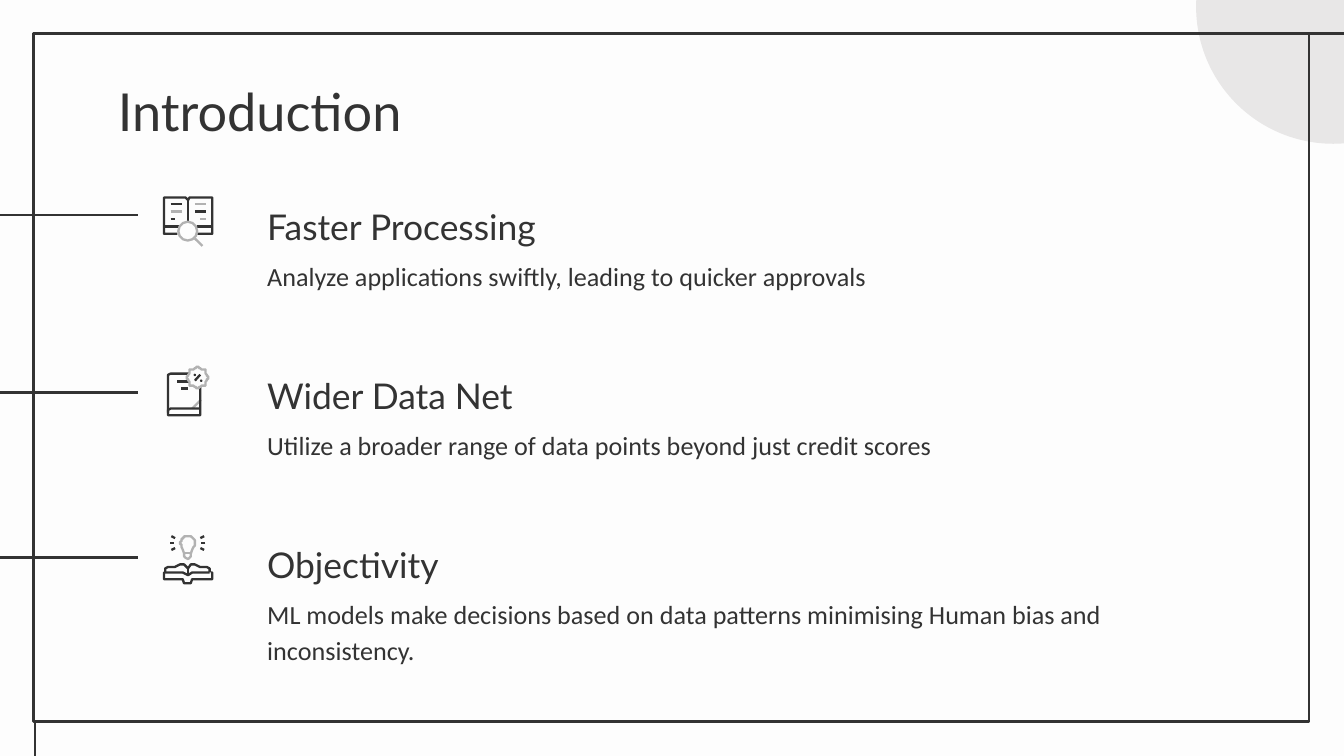
import math

from lxml import etree
from pptx import Presentation
from pptx.dml.color import RGBColor
from pptx.enum import shapes, text
from pptx.oxml.ns import qn
from pptx.util import Inches, Pt

INK = RGBColor(0x33, 0x33, 0x33)
GREY = RGBColor(0xB2, 0xB2, 0xB2)
PALE = RGBColor(0xE8, 0xE7, 0xE7)
PAPER = RGBColor(0xFD, 0xFD, 0xFD)

SLIDE_W = 10
SLIDE_H = SLIDE_W * 9 / 16
ICON_AXIS = 18.7  # middle of an icon, in hundredths of an inch
ROW_TOP, ROW_PITCH = 1.36, 1.26


def add_text(slide, box, content, *, font, size, spacing=1.0,
             anchor=text.MSO_ANCHOR.TOP):
    frame = slide.shapes.add_textbox(*map(Inches, box)).text_frame
    frame.word_wrap = True
    frame.vertical_anchor = anchor
    frame.margin_left = frame.margin_right = Inches(0.1)
    frame.margin_top = frame.margin_bottom = Inches(0.1)
    paragraph = frame.paragraphs[0]
    paragraph.line_spacing = spacing
    run = paragraph.add_run()
    run.text = content
    run.font.name, run.font.size = font, Pt(size)
    run.font.color.rgb = INK


def add_line(slide, x1, y1, x2, y2, color=INK, width=1.5):
    line = slide.shapes.add_connector(
        shapes.MSO_CONNECTOR.STRAIGHT, *map(Inches, (x1, y1, x2, y2)))
    line.line.color.rgb, line.line.width = color, Pt(width)
    etree.SubElement(line._element.spPr, qn("a:effectLst"))


def style(shape, fill=None, line=None, width=1.5):
    shape.shadow.inherit = False
    if fill is None:
        shape.fill.background()
    else:
        shape.fill.solid()
        shape.fill.fore_color.rgb = fill
    if line is None:
        shape.line.fill.background()
    else:
        shape.line.color.rgb, shape.line.width = line, Pt(width)


def add_preset(slide, kind, box, **look):
    style(slide.shapes.add_shape(kind, *map(Inches, box)), **look)


def mirror(points):
    return [(2 * ICON_AXIS - x, y) for x, y in points]


def symmetric(left_half):
    """Continue an outline that ends on the icon's axis to its other side."""
    return left_half + mirror(left_half[-2::-1])


class Icon:
    """Draws strokes in hundredths of an inch from the icon's top left corner."""

    def __init__(self, slide, left, top):
        self.slide, self.left, self.top = slide, left, top

    def stroke(self, points, color=INK, closed=False):
        if len(points) == 2:
            ends = [origin + value / 100 for point in points
                    for origin, value in zip((self.left, self.top), point)]
            add_line(self.slide, *ends, color, 1.25)
            return
        builder = self.slide.shapes.build_freeform(
            *points[0], scale=Inches(0.01))
        builder.add_line_segments(points[1:], close=closed)
        outline = builder.convert_to_shape(Inches(self.left), Inches(self.top))
        style(outline, line=color, width=1.25)

    def dash(self, x1, x2, y, color=INK):
        self.stroke([(x1, y), (x2, y)], color)

    def circle(self, x, y, radius, **look):
        box = (self.left + (x - radius) / 100, self.top + (y - radius) / 100,
               radius / 50, radius / 50)
        add_preset(self.slide, shapes.MSO_SHAPE.OVAL, box, **look)


def draw_book_search(icon):
    icon.stroke(symmetric([(11, 27.5), (0.7, 27.5), (0.7, 0.7), (14.5, 0.7),
                           (17, 1.2), (ICON_AXIS, 2.8)]))
    icon.stroke([(ICON_AXIS, 2.8), (ICON_AXIS, 19)])
    page_edge = [(1, 22.5), (12, 22.5)]
    icon.stroke(page_edge)
    icon.stroke(mirror(page_edge))
    for y, left_end, right_start, left_color, right_color in (
            (6, 14.5, 24, INK, GREY),
            (11.5, 14.5, 24, GREY, INK),
            (17, 9.5, 28, INK, GREY)):
        icon.dash(6, left_end, y, left_color)
        icon.dash(right_start, 32, y, right_color)
    icon.circle(ICON_AXIS, 26, 7, line=GREY, width=1.25)
    icon.stroke([(24, 31.5), (29.7, 37)], GREY)


def draw_notebook_badge(icon):
    icon.stroke([(22, 32), (28.5, 25.5)], GREY)
    icon.stroke([(20, 6), (6, 6), (4.2, 6.7), (3.5, 8.5), (3.5, 35),
                 (4.2, 36.7), (6, 37.3), (28.5, 37.3), (28.5, 15.5)])
    icon.stroke([(3.5, 35), (4.2, 32.6), (6, 32), (28.5, 32)])
    icon.dash(11, 20, 12)
    icon.dash(14, 19, 17)
    scallop = []
    for degrees in range(0, 360, 5):
        angle = math.radians(degrees)
        radius = 7.4 + 0.5 * math.cos(8 * angle)
        scallop.append((26 + radius * math.cos(angle),
                        9 + radius * math.sin(angle)))
    icon.stroke(scallop, GREY, closed=True)
    icon.stroke([(24, 11.2), (28, 6.8)])
    for x, y in ((24, 7), (28.7, 11.3)):
        icon.circle(x, y, 0.9, fill=INK)


def draw_book_bulb(icon):
    for half in ([(2, 28), (2, 25), (4, 24), (9, 23.5), (13, 22), (16, 22.2),
                  (ICON_AXIS, 25)],
                 [(2, 28), (15, 28), (ICON_AXIS, 30)],
                 [(1.5, 28.5), (0.7, 28.5), (0.7, 33.2), (15, 33.2),
                  (16.5, 35.5), (ICON_AXIS, 36.5)]):
        icon.stroke(symmetric(half))
    icon.stroke([(ICON_AXIS, 25), (ICON_AXIS, 30)])
    for ray in ([(6.5, 1), (9.3, 2.4)], [(5.5, 6), (8.5, 6)],
                [(6.5, 11.2), (9.3, 9.8)]):
        icon.stroke(ray)
        icon.stroke(mirror(ray))
    glass = [(ICON_AXIS + 5.3 * math.cos(math.radians(d)),
              6 + 5.3 * math.sin(math.radians(d)))
             for d in range(145, 271, 5)]
    base = [(ICON_AXIS, 18), (17, 17.3), (16, 15.5), (16, 13.5), (15.4, 11)]
    icon.stroke(symmetric(base + glass), GREY, closed=True)
    icon.dash(16, 21.4, 13.5, GREY)


def add_frame(slide, left, top, width, height):
    right, bottom = left + width, top + height
    add_preset(slide, shapes.MSO_SHAPE.OVAL,
               (right - 0.84, top - 1.22, 2.04, 2.04), fill=PALE)
    add_preset(slide, shapes.MSO_SHAPE.RECTANGLE,
               (left, top, width, height), line=INK)
    add_line(slide, right, top, SLIDE_W, top)
    add_line(slide, left + 0.01, bottom, left + 0.01, SLIDE_H)


def add_benefit(slide, left, top, width, heading, detail, draw_icon, rule_y):
    add_line(slide, 0, rule_y, 1.03, rule_y)
    draw_icon(Icon(slide, left, top + 0.1))
    text_left, text_width = left + 0.68, width - 0.68
    add_text(slide, (text_left, top + 0.44, text_width, 0.58), detail,
             font="Calibri", size=14, spacing=1.15)
    add_text(slide, (text_left, top, text_width, 0.58), heading,
             font="Lato", size=19, spacing=1.15,
             anchor=text.MSO_ANCHOR.BOTTOM)


def add_introduction(prs):
    slide = prs.slides.add_slide(prs.slide_layouts[6])
    slide.background.fill.solid()
    slide.background.fill.fore_color.rgb = PAPER
    add_frame(slide, 0.25, 0.25, 9.49, 5.12)
    add_text(slide, (0.78, 0.49, 8.43, 0.63), "Introduction",
             font="Lato", size=28)
    benefits = (
        ("Faster Processing",
         "Analyze applications swiftly, leading to quicker approvals",
         draw_book_search, 1.6),
        ("Wider Data Net",
         "Utilize a broader range of data points beyond just credit scores",
         draw_notebook_badge, 2.92),
        ("Objectivity",
         "ML models make decisions based on data patterns minimising Human "
         "bias and inconsistency.",
         draw_book_bulb, 4.15),
    )
    for row, benefit in enumerate(benefits):
        add_benefit(slide, 1.21, ROW_TOP + row * ROW_PITCH, 7.91, *benefit)


def main():
    prs = Presentation()
    prs.slide_width, prs.slide_height = Inches(SLIDE_W), Inches(SLIDE_H)
    add_introduction(prs)
    prs.save("out.pptx")


if __name__ == "__main__":
    main()
